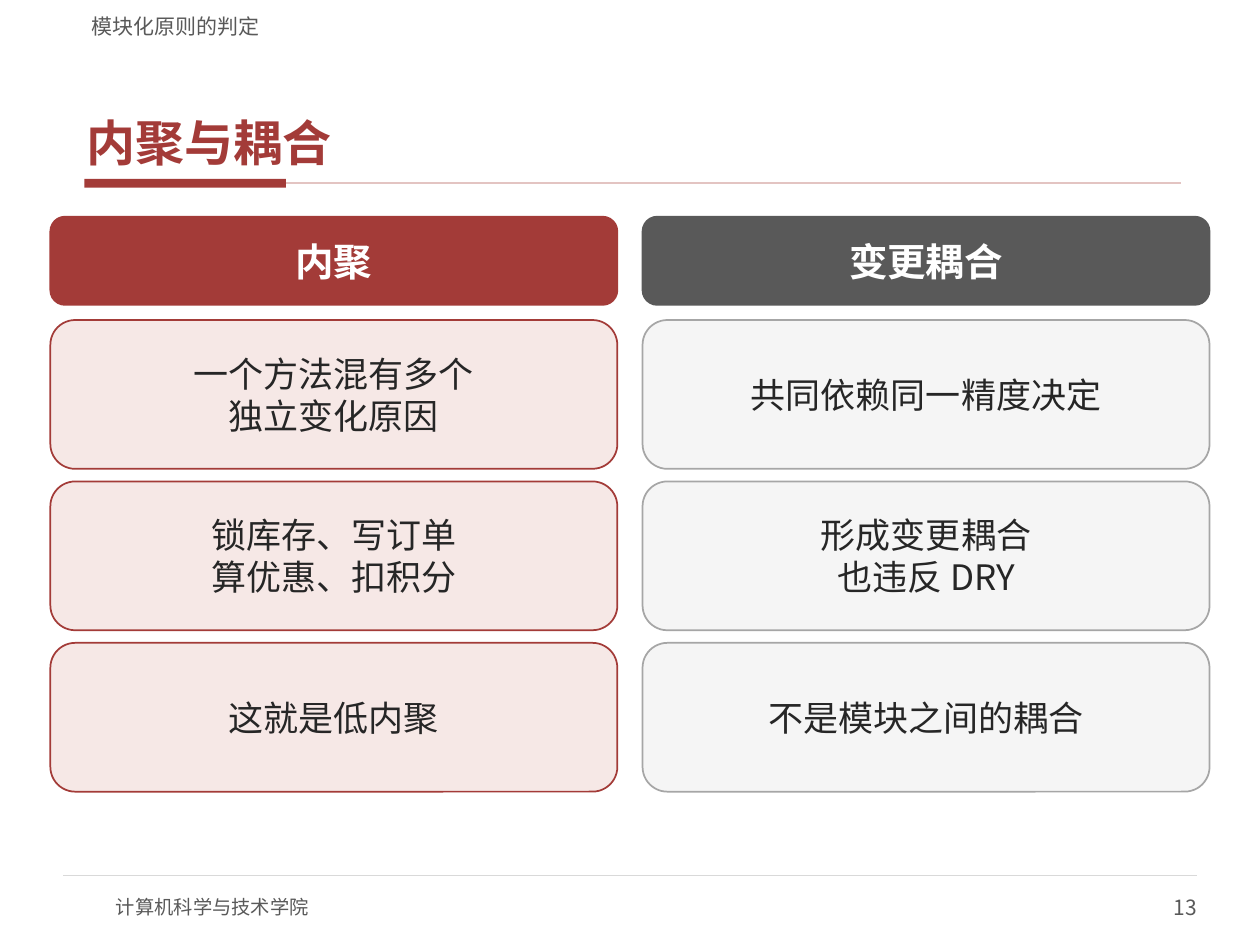
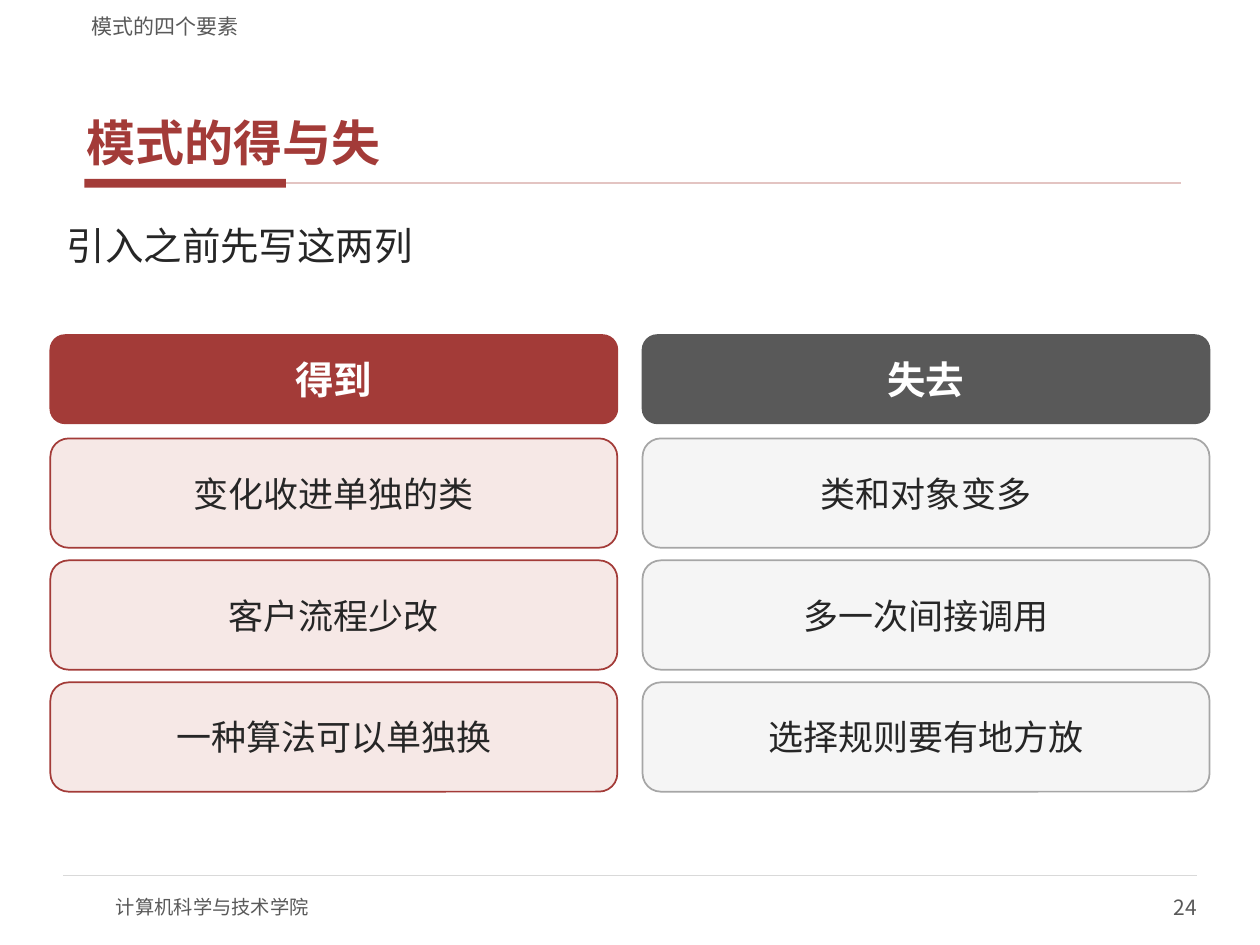
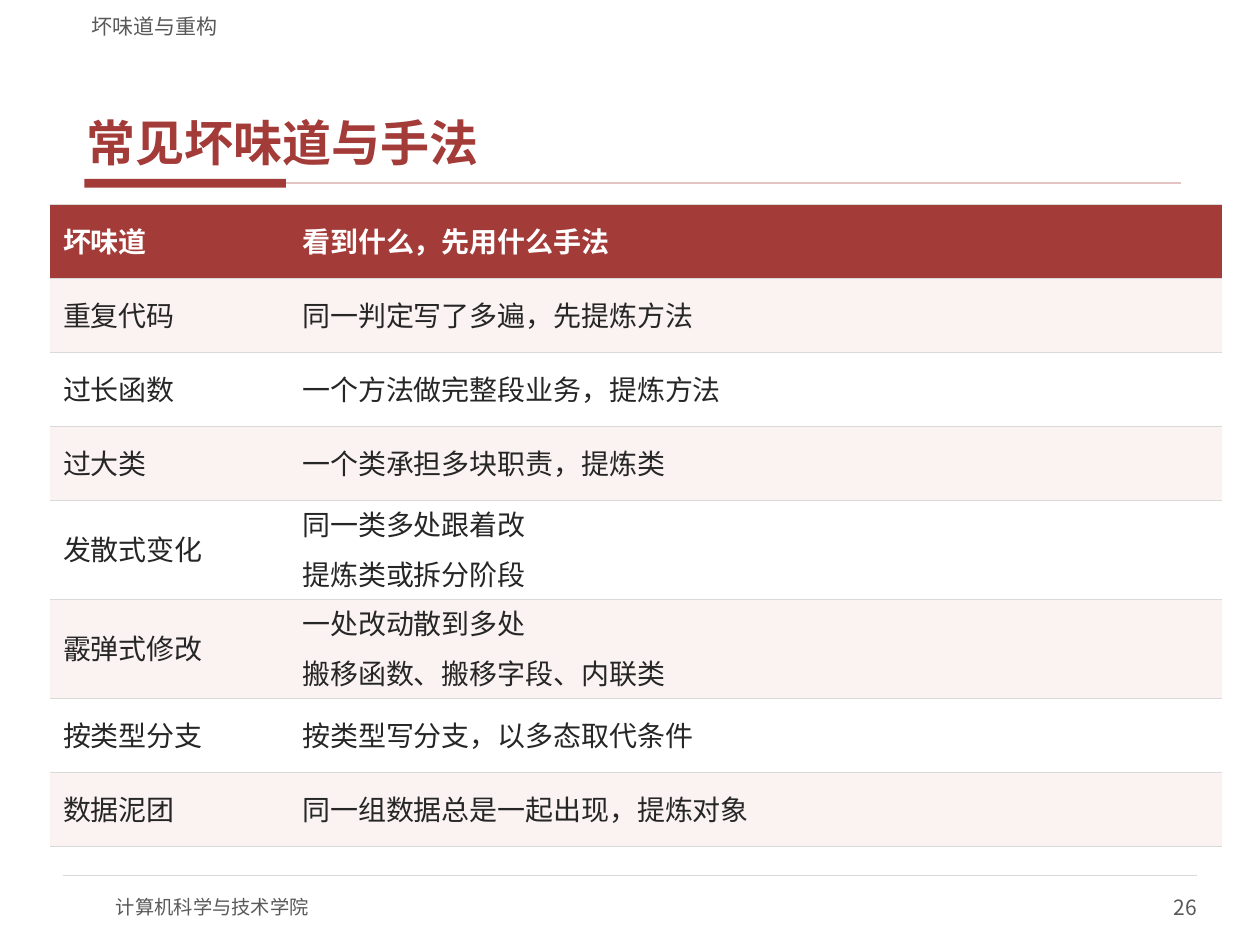
from lxml import etree
from pptx import Presentation
from pptx.dml.color import RGBColor
from pptx.enum import shapes, text
from pptx.oxml import ns
from pptx.util import Pt

FONT = "Noto Sans CJK SC"
RED = RGBColor(0xA3, 0x3B, 0x38)
PALE_RED = RGBColor(0xE3, 0xC4, 0xC2)
CARD_RED = RGBColor(0xF6, 0xE8, 0xE6)
BAND_RED = RGBColor(0xFB, 0xF3, 0xF2)
INK = RGBColor(0x26, 0x26, 0x26)
GRAY = RGBColor(0x59, 0x59, 0x59)
EDGE_GRAY = RGBColor(0xA6, 0xA6, 0xA6)
RULE_GRAY = RGBColor(0xD9, 0xD9, 0xD9)
CARD_GRAY = RGBColor(0xF5, 0xF5, 0xF5)
WHITE = RGBColor(0xFF, 0xFF, 0xFF)

LEFT, MIDDLE, BOTTOM = text.PP_ALIGN.LEFT, text.MSO_ANCHOR.MIDDLE, text.MSO_ANCHOR.BOTTOM
CARD_MARGINS = (5.76, 2.88)
COLUMN_LEFT, COLUMN_WIDTH, COLUMN_GAP = 28.8, 324, 14.4
HEADER_HEIGHT, HEADER_PITCH = 50.4, 59.04
CARD_GAP, CARDS_BOTTOM = 7.2, 452.4
ROW_HEIGHT, TWO_LINE_ROW_HEIGHT = 42.3, 56.6


def write(frame, content, size, color, bold=False, align=LEFT, margins=None, anchor=None):
    """Fill a text frame, one paragraph per line, in the deck's font."""
    frame.text = content
    frame.word_wrap = True
    if anchor is not None:
        frame.vertical_anchor = anchor
    if margins is not None:
        frame.margin_left = frame.margin_right = Pt(margins[0])
        frame.margin_top = frame.margin_bottom = Pt(margins[1])
    for paragraph in frame.paragraphs:
        paragraph.alignment = align
        for run in paragraph.runs:
            run.font.name, run.font.size, run.font.bold = FONT, Pt(size), bold
            run.font.color.rgb = color
            east_asian = etree.SubElement(run.font._element, ns.qn("a:ea"))
            east_asian.set("typeface", FONT)


def add_box(slide, kind, left, top, width, height, fill, edge=None):
    shape = slide.shapes.add_shape(kind, Pt(left), Pt(top), Pt(width), Pt(height))
    shape.shadow.inherit = False
    shape.fill.solid()
    shape.fill.fore_color.rgb = fill
    if edge is None:
        shape.line.fill.background()
    else:
        shape.line.color.rgb = edge
        shape.line.width = Pt(1)
    return shape


presentation = Presentation()
presentation.slide_width, presentation.slide_height = Pt(720), Pt(540)
title_only = presentation.slide_layouts[5]

# Frame shared by every slide
slides = []
for section, title, number in [
    ("模块化原则的判定", "内聚与耦合", "13"),
    ("模式的四个要素", "模式的得与失", "24"),
    ("坏味道与重构", "常见坏味道与手法", "26"),
]:
    slide = presentation.slides.add_slide(title_only)
    slides.append(slide)

    add_box(slide, shapes.MSO_SHAPE.RECTANGLE, 48.24, 102.24, 115.2, 5.04, RED)
    for start, end, y, color, width in [
        (163.44, 674.64, 104.76, PALE_RED, 1),
        (36, 684, 500.4, RULE_GRAY, 0.75),
    ]:
        rule = slide.shapes.add_connector(
            shapes.MSO_CONNECTOR.STRAIGHT, Pt(start), Pt(y), Pt(end), Pt(y))
        rule.line.color.rgb = color
        rule.line.width = Pt(width)
        etree.SubElement(rule._element.spPr, ns.qn("a:effectLst"))

    heading = slide.shapes.title
    heading.left, heading.top = Pt(45.36), Pt(23.76)
    heading.width, heading.height = Pt(630), Pt(75.6)
    write(heading.text_frame, title, 28, RED, True, margins=(4.32, 1.44), anchor=BOTTOM)
    heading.text_frame.auto_size = text.MSO_AUTO_SIZE.NONE
    heading.text_frame.paragraphs[0].space_after = Pt(2)

    for content, left, top, width, height, size, align, margins, anchor in [
        ("计算机科学与技术学院", 66.24, 504, 288, 28.8, 11, LEFT, (0, 0), MIDDLE),
        (number, 540, 504, 144, 28.8, 12, text.PP_ALIGN.RIGHT, (0, 0), MIDDLE),
        (section, 45.36, 2.88, 630, 19.44, 12, LEFT, (7.2, 0), BOTTOM),
    ]:
        label = slide.shapes.add_textbox(Pt(left), Pt(top), Pt(width), Pt(height))
        write(label.text_frame, content, size, GRAY, align=align, margins=margins, anchor=anchor)

cohesion_slide, tradeoff_slide, smells_slide = slides

# Two-column comparisons
lead = tradeoff_slide.shapes.add_textbox(Pt(32.4), Pt(123.84), Pt(655.2), Pt(61.92))
write(lead.text_frame, "引入之前先写这两列", 22, INK, margins=CARD_MARGINS)

column_styles = [(RED, CARD_RED, RED), (GRAY, CARD_GRAY, EDGE_GRAY)]
for slide, top, columns in [
    (cohesion_slide, 123.84, [
        ("内聚", ["一个方法混有多个\n独立变化原因", "锁库存、写订单\n算优惠、扣积分", "这就是低内聚"]),
        ("变更耦合", ["共同依赖同一精度决定", "形成变更耦合\n也违反 DRY", "不是模块之间的耦合"]),
    ]),
    (tradeoff_slide, 191.52, [
        ("得到", ["变化收进单独的类", "客户流程少改", "一种算法可以单独换"]),
        ("失去", ["类和对象变多", "多一次间接调用", "选择规则要有地方放"]),
    ]),
]:
    cards_top = top + HEADER_PITCH
    for index, (header, cards) in enumerate(columns):
        header_fill, card_fill, card_edge = column_styles[index]
        left = COLUMN_LEFT + index * (COLUMN_WIDTH + COLUMN_GAP)
        card_pitch = (CARDS_BOTTOM - cards_top + CARD_GAP) / len(cards)
        boxes = [(header, top, HEADER_HEIGHT, header_fill, header_fill, 22, WHITE, True)]
        for row, card in enumerate(cards):
            boxes.append((card, cards_top + row * card_pitch, card_pitch - CARD_GAP,
                          card_fill, card_edge, 20, INK, False))
        for content, box_top, height, fill, edge, size, color, bold in boxes:
            box = add_box(slide, shapes.MSO_SHAPE.ROUNDED_RECTANGLE,
                          left, box_top, COLUMN_WIDTH, height, fill, edge)
            write(box.text_frame, content, size, color, bold,
                  text.PP_ALIGN.CENTER, CARD_MARGINS, MIDDLE)

# Table of code smells
smells = [
    ("坏味道", "看到什么，先用什么手法"),
    ("重复代码", "同一判定写了多遍，先提炼方法"),
    ("过长函数", "一个方法做完整段业务，提炼方法"),
    ("过大类", "一个类承担多块职责，提炼类"),
    ("发散式变化", "同一类多处跟着改\n提炼类或拆分阶段"),
    ("霰弹式修改", "一处改动散到多处\n搬移函数、搬移字段、内联类"),
    ("按类型分支", "按类型写分支，以多态取代条件"),
    ("数据泥团", "同一组数据总是一起出现，提炼对象"),
]
row_heights = [TWO_LINE_ROW_HEIGHT if "\n" in remedy else ROW_HEIGHT for _, remedy in smells]
table = smells_slide.shapes.add_table(
    len(smells), 2, Pt(28.8), Pt(116.64), Pt(669.6), Pt(sum(row_heights))).table
table.columns[0].width, table.columns[1].width = Pt(136.8), Pt(532.8)
for row, contents in enumerate(smells):
    table.rows[row].height = Pt(row_heights[row])
    is_header = row == 0
    row_fill = RED if is_header else (BAND_RED if row % 2 else WHITE)
    for column, content in enumerate(contents):
        cell = table.cell(row, column)
        cell.vertical_anchor = MIDDLE
        properties = cell._tc.get_or_add_tcPr()
        for side in ("lnL", "lnR"):
            border = etree.SubElement(properties, ns.qn("a:" + side), w="0")
            etree.SubElement(border, ns.qn("a:noFill"))
        for side in ("lnT", "lnB"):
            border = etree.SubElement(properties, ns.qn("a:" + side), w=str(Pt(0.75)))
            border_fill = etree.SubElement(border, ns.qn("a:solidFill"))
            etree.SubElement(border_fill, ns.qn("a:srgbClr"), val=str(RULE_GRAY))
        cell.fill.solid()
        cell.fill.fore_color.rgb = row_fill
        write(cell.text_frame, content, 16, WHITE if is_header else INK, is_header)
        for position, paragraph in enumerate(cell.text_frame.paragraphs):
            paragraph.line_spacing = 0.9
            paragraph.space_before = Pt(6 if position else 0)
            paragraph.space_after = Pt(2)

presentation.save("out.pptx")
